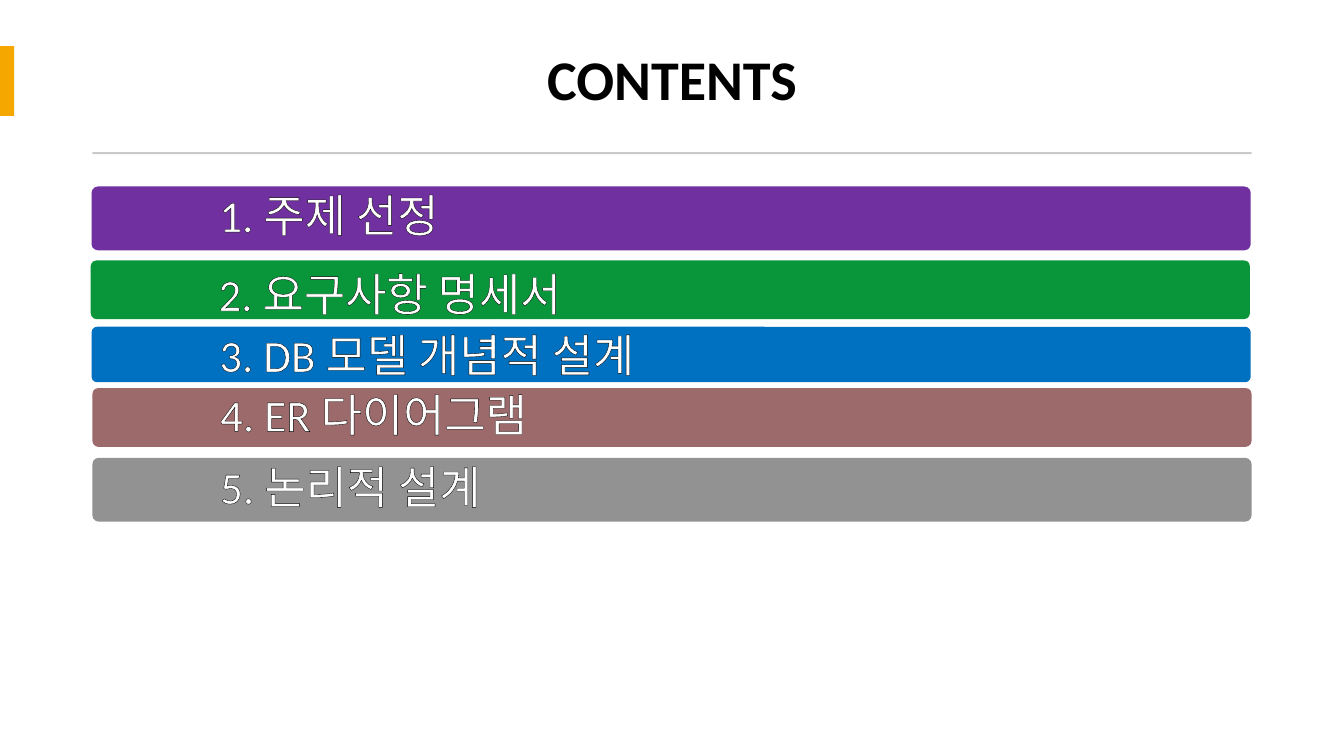
"""Builds a contents slide with five coloured chapter bars."""
from dataclasses import dataclass

from lxml.etree import SubElement
from pptx import Presentation
from pptx.dml.color import RGBColor as Rgb
from pptx.enum.shapes import MSO_SHAPE as Shape
from pptx.enum.text import MSO_ANCHOR as Anchor, MSO_AUTO_SIZE as AutoSize, PP_ALIGN as Align
from pptx.oxml import parse_xml
from pptx.oxml.ns import nsdecls, qn
from pptx.util import Inches, Pt


@dataclass(frozen=True)
class Theme:
    font: str = "Calibri"
    title_size: int = 40
    label_size: int = 32
    ink: str = "000000"
    paper: str = "FFFFFF"
    accent: str = "F5A700"
    rule: str = "C9C9C9"
    outline: float = 1
    inset: float = 0.11
    leading: float = 0.9


THEME = Theme()
WIDTH, HEIGHT = Inches(13.333), Inches(7.5)
COLUMNS, ROWS = 160, 90
MARGIN, SPAN = 11, 138
LABEL_INDENT, LABEL_SPAN = 13.9, 124

# Label, colour, bar (column, row, rows), label (row, rows), text shadow
CHAPTERS = [
    ("1. 주제 선정", "7030A0", (10.9, 22.2, 7.6), (22.1, 7.6), True),
    ("2. 요구사항 명세서", "09963B", (10.8, 31, 7), (31, 8.6), False),
    ("3. DB 모델 개념적 설계", "0070C0", (10.9, 38.9, 6.6), (40.1, 4.9), False),
    ("4. ER 다이어그램", "9C6A6A", (11, 46.2, 7), (46.7, 5.9), False),
    ("5. 논리적 설계", "929292", (11, 54.5, 7.6), (55.3, 5.9), False),
]


def grid(column, row, columns, rows):
    """Turn grid cells into left, top, width and height."""
    across, down = WIDTH / COLUMNS, HEIGHT / ROWS
    return [round(n) for n in (column * across, row * down, columns * across, rows * down)]


def assign(target, values):
    """Set every attribute named in a dict."""
    for name, value in values.items():
        setattr(target, name, value)


def write(frame, text, size, color, frame_format, para_format, bold=False):
    """Put one formatted run in a text frame and return it."""
    assign(frame, {"word_wrap": True, "auto_size": AutoSize.NONE,
                   "vertical_anchor": Anchor.MIDDLE, **frame_format})
    para = frame.paragraphs[0]
    assign(para, {"line_spacing": THEME.leading, **para_format})
    span = para.add_run()
    span.text = text
    span.font.color.rgb = Rgb.from_string(color)
    assign(span.font, {"size": Pt(size), "bold": bold, "name": THEME.font})
    return span


def add_title(slide, text):
    """Place and format the title placeholder."""
    title = slide.shapes.title
    assign(title, dict(zip(("left", "top", "width", "height"),
                           grid(MARGIN, 3.2, SPAN, 13.2))))
    write(title.text_frame, text, THEME.title_size, THEME.ink, {},
          {"alignment": Align.CENTER}, bold=True)


def add_block(slide, cells, color, kind=Shape.RECTANGLE):
    """Draw a plain filled shape on the grid."""
    block = slide.shapes.add_shape(kind, *grid(*cells))
    block.shadow.inherit = False
    block.fill.solid()
    block.fill.fore_color.rgb = Rgb.from_string(color)
    block.line.fill.background()
    return block


def add_text_effects(span, shadow):
    """Outline the letters and optionally give them a soft shadow."""
    props = span.font._element
    outline = parse_xml(f'<a:ln {nsdecls("a")} w="{Pt(THEME.outline)}"><a:solidFill>'
                        f'<a:srgbClr val="{THEME.ink}"/></a:solidFill></a:ln>')
    props.insert(0, outline)
    if shadow:
        effects = parse_xml(f'<a:effectLst {nsdecls("a")}/>')
        cast = SubElement(effects, qn("a:outerShdw"), blurRad="38100", dist="38100", dir="5400000")
        tint = SubElement(cast, qn("a:srgbClr"), val=THEME.ink)
        SubElement(tint, qn("a:alpha"), val="60000")
        props.find(qn("a:solidFill")).addnext(effects)


def add_chapter(slide, text, color, bar_cells, label_cells, shadow):
    """Draw one chapter bar with its label."""
    column, row, rows = bar_cells
    bar = add_block(slide, (column, row, SPAN, rows), color, Shape.ROUNDED_RECTANGLE)
    bar.adjustments[0] = 0.1
    label_row, label_rows = label_cells
    box = slide.shapes.add_textbox(
        *grid(column + LABEL_INDENT, label_row, LABEL_SPAN, label_rows))
    margins = {f"margin_{side}": Inches(THEME.inset)
               for side in ("left", "top", "right", "bottom")}
    span = write(box.text_frame, text, THEME.label_size, THEME.paper, margins,
                 {"alignment": Align.LEFT})
    add_text_effects(span, shadow)


def main():
    """Build and save the deck."""
    deck = Presentation()
    assign(deck, {"slide_width": WIDTH, "slide_height": HEIGHT})
    page = deck.slides.add_slide(deck.slide_layouts[5])
    add_title(page, "CONTENTS")
    add_block(page, (0, 5.5, 1.7, 8.3), THEME.accent)
    add_block(page, (MARGIN, 18.1, SPAN, 0.24), THEME.rule)
    for chapter in CHAPTERS:
        add_chapter(page, *chapter)
    deck.save("out.pptx")


if __name__ == "__main__":
    main()
